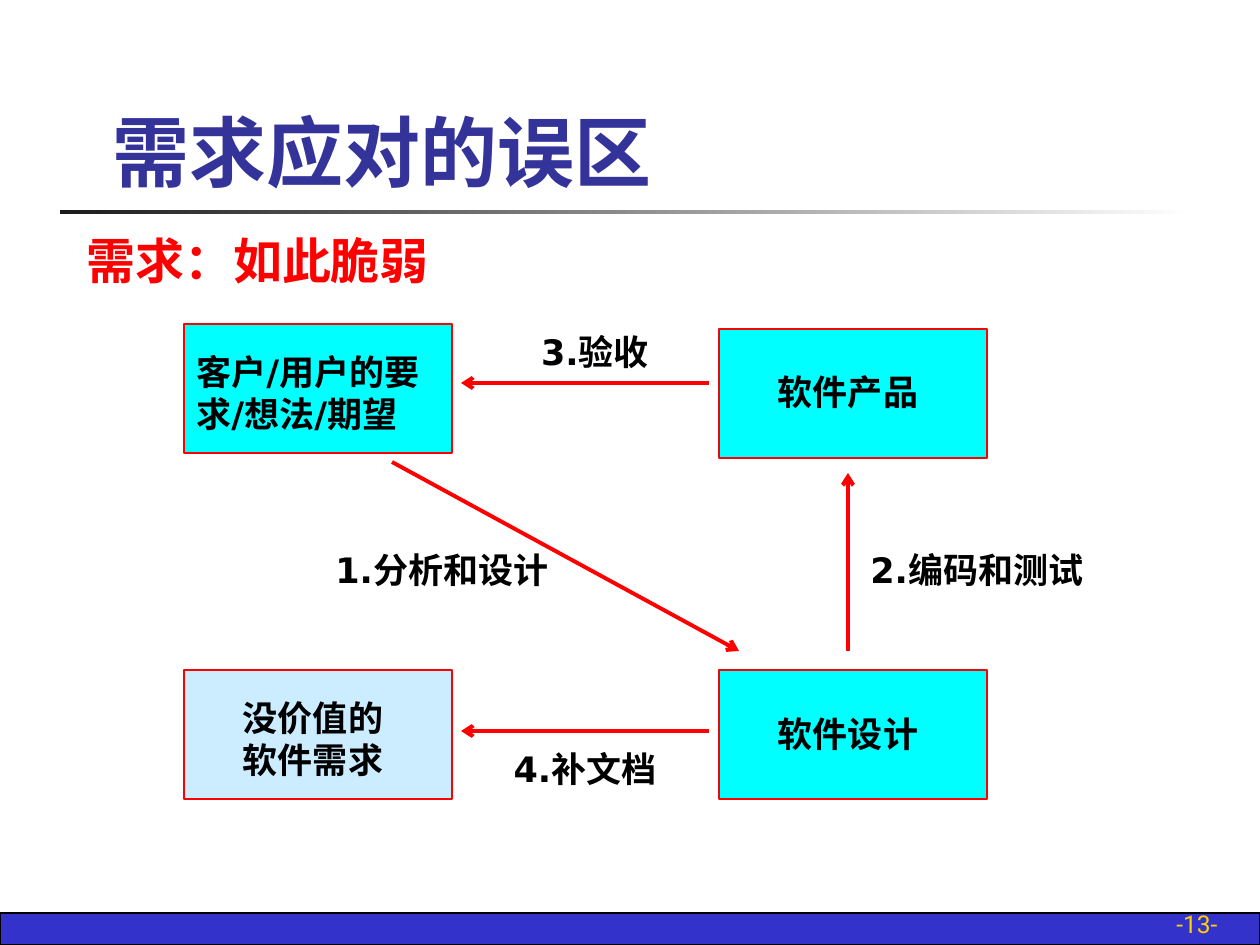
from lxml import etree
from pptx import Presentation
from pptx import util as u
from pptx.dml import color
from pptx.enum import shapes, text
from pptx.oxml import ns


def rgb(code):
    return color.RGBColor.from_string(code)


def write(box, words, size, face, hue, bold=True, side="LEFT", wrap=True, anchor="TOP"):
    frame = box.text_frame
    look = {"auto_size": text.MSO_AUTO_SIZE.NONE, "word_wrap": wrap,
            "vertical_anchor": getattr(text.MSO_ANCHOR, anchor), "text": words}
    for key, val in look.items():
        setattr(frame, key, val)
    para = frame.paragraphs[0]
    para.alignment = getattr(text.PP_ALIGN, side)
    for run in para.runs:
        for key, val in {"size": u.Pt(size), "name": face, "bold": bold}.items():
            setattr(run.font, key, val)
        run.font.color.rgb = rgb(hue)


PX = 914400 / 126
RED, CYAN, PALE = "FF0000", "00FFFF", "CCECFF"

deck = Presentation()
deck.slide_width, deck.slide_height = u.Inches(10), u.Inches(7.5)
slide = deck.slides.add_slide(deck.slide_layouts[5])
items = slide.shapes

title = items.title
for key, val in {"left": 100, "top": 45, "width": 1074, "height": 158}.items():
    setattr(title, key, round(val * PX))
write(title, "需求应对的误区", 44, "Times New Roman", "333399", anchor="BOTTOM")

rects = [
    (0, 913, 1260, 32, "3333CC", "000000", 0.75),
    (60, 210, 1134, 4, None, None, 0),
    (184, 324, 268, 129, CYAN, RED, 1.5),
    (719, 670, 268, 129, CYAN, RED, 1.5),
    (719, 329, 268, 129, CYAN, RED, 1.5),
    (184, 670, 268, 129, PALE, RED, 1.5),
]
for *place, fill, edge, width in rects:
    rect = items.add_shape(shapes.MSO_SHAPE.RECTANGLE, *[round(v * PX) for v in place])
    rect.shadow.inherit = False
    if fill:
        rect.fill.solid()
        rect.fill.fore_color.rgb = rgb(fill)
        rect.line.color.rgb = rgb(edge)
        rect.line.width = u.Pt(width)
    else:
        rect.fill.gradient()
        rect.fill.gradient_angle = 0
        for stop, hue in zip(rect.fill.gradient_stops, ("1C1C1C", "FFFFFF")):
            stop.color.rgb = rgb(hue)
        rect.line.fill.background()

arrows = [(392, 462, 739, 651), (848, 651, 848, 473),
          (709, 383, 461, 383), (709, 731, 461, 731)]
for ends in arrows:
    arrow = items.add_connector(shapes.MSO_CONNECTOR.STRAIGHT, *[round(v * PX) for v in ends])
    arrow.line.color.rgb = rgb(RED)
    arrow.line.width = u.Pt(2.25)
    etree.SubElement(arrow.line._get_or_add_ln(), ns.qn("a:tailEnd"), type="arrow")
    etree.SubElement(arrow._element.spPr, ns.qn("a:effectLst"))

labels = [
    (184, 344, 277, 97, "客户/用户的要求/想法/期望", "LEFT"),
    (719, 706, 258, 54, "软件设计", "CENTER"),
    (719, 364, 258, 54, "软件产品", "CENTER"),
    (184, 690, 258, 97, "没价值的\v软件需求", "CENTER"),
    (323, 542, 268, 54, "1.分析和设计", "LEFT"),
    (858, 542, 268, 54, "2.编码和测试", "LEFT"),
    (491, 324, 208, 54, "3.验收", "CENTER"),
    (481, 741, 208, 54, "4.补文档", "CENTER"),
]
for *place, words, side in labels:
    box = items.add_textbox(*[round(v * PX) for v in place])
    write(box, words, 20, "DejaVu Sans", "000000", side=side)

head = items.add_textbox(*[round(v * PX) for v in (74, 224, 368, 72)])
write(head, "需求：如此脆弱", 28, "Roboto", RED, wrap=False)
page = items.add_textbox(*[round(v * PX) for v in (968, 903, 262, 42)])
write(page, "-13-", 14, "Roboto", "FFCF01", bold=False, side="RIGHT", anchor="BOTTOM")

deck.save("out.pptx")
